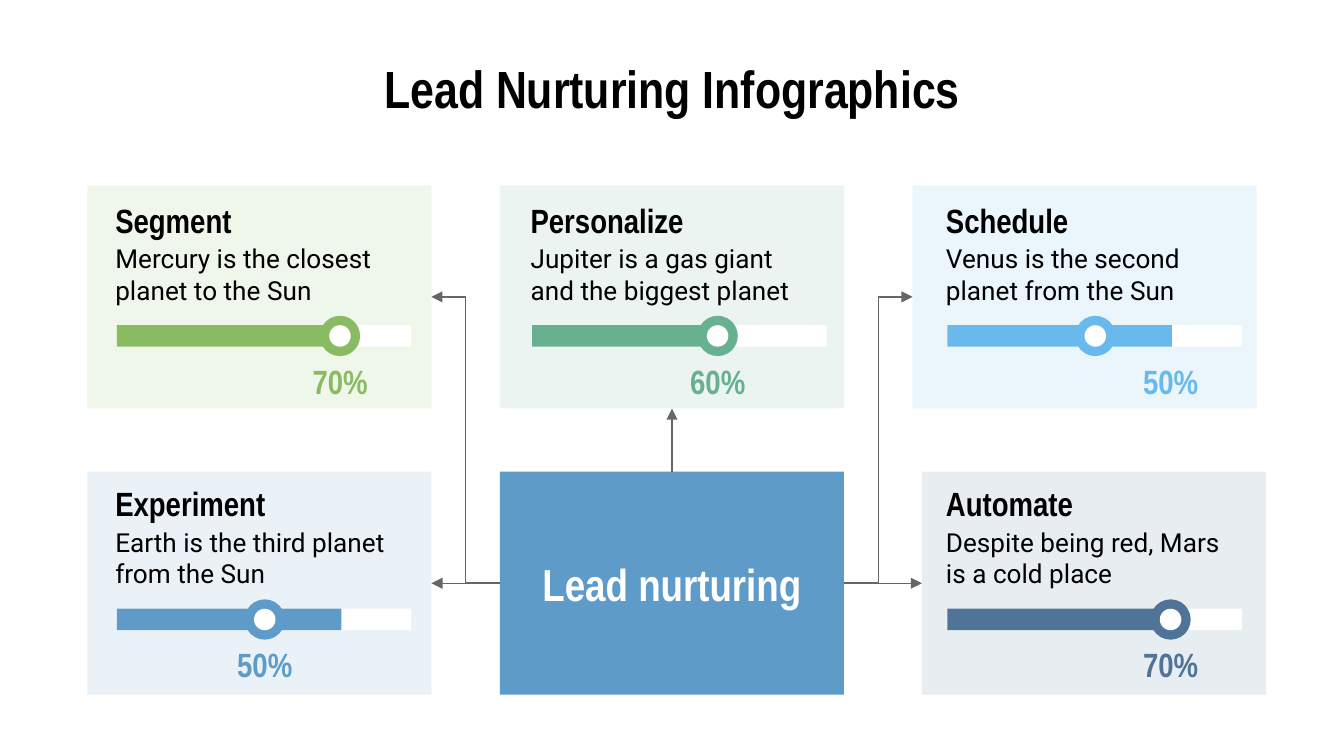
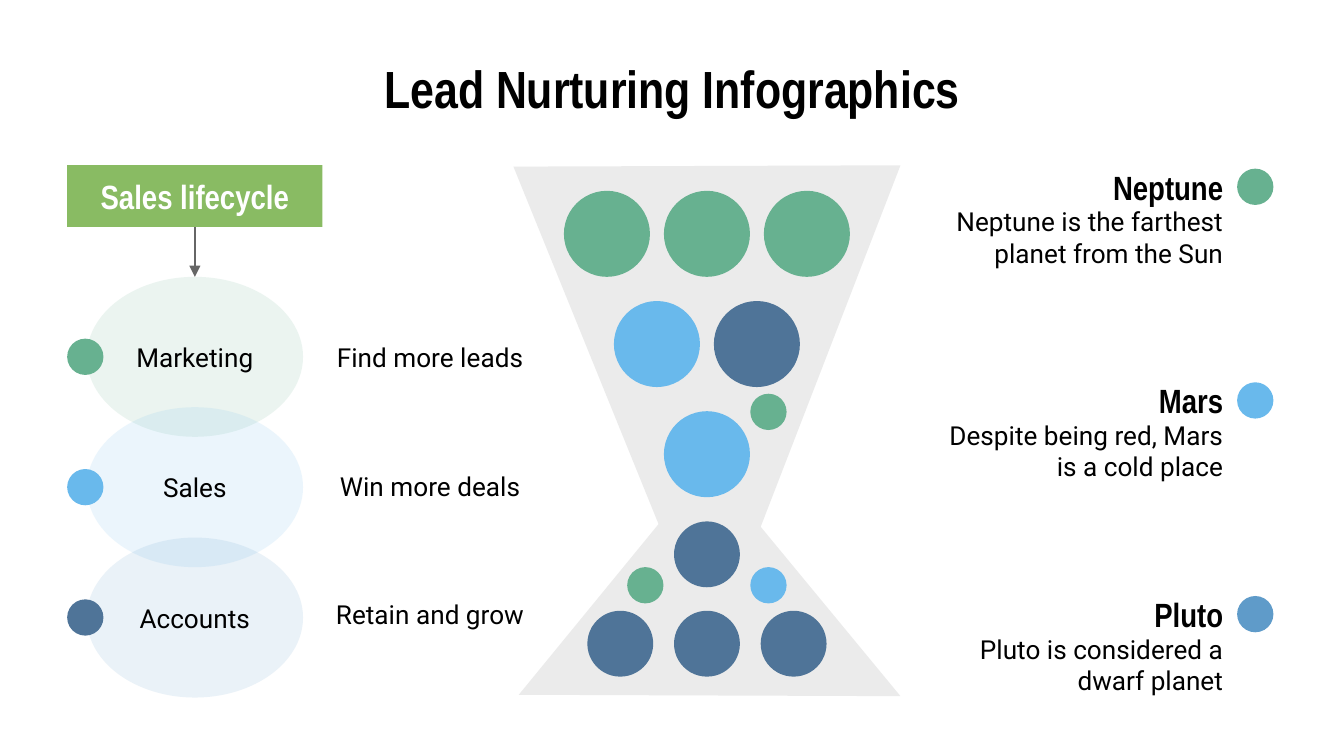
from lxml import etree
from pptx import Presentation, util as u
from pptx.dml.color import RGBColor
from pptx.enum import shapes, text
from pptx.oxml.ns import qn

GREEN, TEAL, SKY, BLUE, NAVY = "89BB63", "67B190", "69B9EC", "5F9BC9", "4F7498"
BLACK, WHITE, GREY = "000000", "FFFFFF", "666666"
TINT = 13
HEAD, BODY = "Arial Narrow", "Roboto"
LEFT, CENTER, RIGHT = text.PP_ALIGN.LEFT, text.PP_ALIGN.CENTER, text.PP_ALIGN.RIGHT
RECT, OVAL = shapes.MSO_SHAPE.RECTANGLE, shapes.MSO_SHAPE.OVAL
TOP_SIDE, LEFT_SIDE, BOTTOM_SIDE, RIGHT_SIDE = range(4)
COLUMNS = 100  # square grid cells, a tenth of an inch each


def rgb(value):
    return RGBColor.from_string(value)


class Deck:
    """Holds the shared style and the slide being drawn."""

    def __init__(self):
        self.prs = Presentation()
        self.prs.slide_width, self.prs.slide_height = u.Inches(10), u.Inches(5.625)
        self.cell = self.prs.slide_width / COLUMNS
        self.slide = None

    def grid(self, *lengths):
        return [u.Emu(round(length * self.cell)) for length in lengths]

    def new_slide(self, title):
        self.slide = self.prs.slides.add_slide(self.prs.slide_layouts[5])
        holder = self.slide.shapes.title
        holder.left, holder.top, holder.width, holder.height = self.grid(5, 4.5, COLUMNS - 10, 4.1)
        self.put_text(holder, title, 28, HEAD, BLACK, CENTER)

    def put_text(self, shape, words, size, font, color, align):
        frame = shape.text_frame
        frame.word_wrap = True
        frame.auto_size = text.MSO_AUTO_SIZE.NONE
        frame.vertical_anchor = text.MSO_ANCHOR.MIDDLE
        frame.margin_left = frame.margin_right = frame.margin_top = frame.margin_bottom = u.Inches(0.1)
        paragraph = frame.paragraphs[0]
        paragraph.alignment = align
        run = paragraph.add_run()
        run.text = words
        run.font.size, run.font.name, run.font.bold = u.Pt(size), font, font == HEAD
        run.font.color.rgb = rgb(color)

    def paint(self, shape, color, alpha=100):
        shape.shadow.inherit = False
        shape.line.fill.background()
        shape.fill.solid()
        shape.fill.fore_color.rgb = rgb(color)
        if alpha < 100:
            tone = shape.element.spPr.find(qn("a:solidFill"))[0]
            etree.SubElement(tone, qn("a:alpha"), val=str(alpha * 1000))
        return shape

    def shape(self, kind, x, y, w, h, color, alpha=100):
        return self.paint(self.slide.shapes.add_shape(kind, *self.grid(x, y, w, h)), color, alpha)

    def dot(self, cx, cy, size, color):
        return self.shape(OVAL, cx - size / 2, cy - size / 2, size, size, color)

    def outline(self, points, color, alpha):
        start, *rest = [self.grid(*point) for point in points]
        builder = self.slide.shapes.build_freeform(*start)
        builder.add_line_segments(rest, close=True)
        return self.paint(builder.convert_to_shape(), color, alpha)

    def label(self, x, y, w, h, words, align=LEFT):
        self.put_text(self.slide.shapes.add_textbox(*self.grid(x, y, w, h)), words, 14, BODY, BLACK, align)

    def heading(self, x, y, w, h, words, align=LEFT, color=BLACK):
        self.put_text(self.slide.shapes.add_textbox(*self.grid(x, y, w, h)), words, 18, HEAD, color, align)

    def arrow(self, source, source_side, target, target_side, kind=shapes.MSO_CONNECTOR.STRAIGHT):
        link = self.slide.shapes.add_connector(kind, 0, 0, 0, 0)
        link.begin_connect(source, source_side)
        link.end_connect(target, target_side)
        link.line.color.rgb, link.line.width = rgb(GREY), u.Pt(0.75)
        properties = link.element.spPr
        etree.SubElement(properties.find(qn("a:ln")), qn("a:tailEnd"), type="triangle")
        etree.SubElement(properties, qn("a:effectLst"))


def nurturing_cards(deck):
    deck.new_slide("Lead Nurturing Infographics")
    card_w, card_h, bar_w = 25.6, 16.6, 21.9

    # Cards: column, row, card left, name, description, colour, share,
    # then the reach of the bar, the knob and the share along the track
    cards = [
        (0, 0, 6.5, "Segment", "Mercury is the closest planet to the Sun", GREEN, "70%", 16.7, 16.6, 16.6),
        (1, 0, 37.2, "Personalize", "Jupiter is a gas giant and the biggest planet", TEAL, "60%", 13.7, 13.8, 13.8),
        (2, 0, 67.9, "Schedule", "Venus is the second planet from the Sun", SKY, "50%", 16.7, 11, 16.6),
        (0, 1, 6.5, "Experiment", "Earth is the third planet from the Sun", BLUE, "50%", 16.7, 11, 11),
        (2, 1, 68.6, "Automate", "Despite being red, Mars is a cold place", NAVY, "70%", 16.7, 16.6, 16.6),
    ]
    panels = {}
    for col, row, left, name, description, color, share, reach, knob, share_at in cards:
        panels[name] = deck.shape(RECT, left, 13.8 + 21.3 * row, card_w, card_h, color, TINT)
        x, y = 7.6 + 30.9 * col, 14.7 + 21.1 * row
        track = x + 1.1
        deck.shape(RECT, track, y + 9.5, bar_w, 1.6, WHITE)
        deck.shape(RECT, track, y + 9.5, reach, 1.6, color)
        deck.heading(x, y, 23, 3.3, name)
        deck.label(x, y + 3.4, 23, 4.6, description)
        deck.heading(track + share_at - 3.4, y + 12, 6.8, 3.3, share, CENTER, color)
        deck.dot(track + knob, y + 10.3, 3, color)
        deck.dot(track + knob, y + 10.3, 1.6, WHITE)

    # Hub and its arrows
    hub = deck.shape(RECT, 37.2, 35.1, card_w, card_h, BLUE)
    deck.put_text(hub, "Lead nurturing", 24, HEAD, WHITE, CENTER)
    elbow = shapes.MSO_CONNECTOR.ELBOW
    deck.arrow(hub, LEFT_SIDE, panels["Experiment"], RIGHT_SIDE)
    deck.arrow(hub, RIGHT_SIDE, panels["Automate"], LEFT_SIDE)
    deck.arrow(hub, LEFT_SIDE, panels["Segment"], RIGHT_SIDE, elbow)
    deck.arrow(hub, TOP_SIDE, panels["Personalize"], BOTTOM_SIDE)
    deck.arrow(hub, RIGHT_SIDE, panels["Schedule"], LEFT_SIDE, elbow)


def sales_hourglass(deck):
    deck.new_slide("Lead Nurturing Infographics")
    small = 2.7

    # Sales lifecycle
    lifecycle = deck.shape(RECT, 5, 12.3, 19, 4.6, GREEN)
    deck.put_text(lifecycle, "Sales lifecycle", 18, HEAD, WHITE, CENTER)
    stages = [
        ("Marketing", "Find more leads", TEAL, TEAL, 24.3),
        ("Sales", "Win more deals", SKY, SKY, 33.9),
        ("Accounts", "Retain and grow", BLUE, NAVY, 43.4),
    ]
    ovals = []
    for i, (stage, goal, tint, marker, goal_y) in enumerate(stages):
        y = 20.6 + 9.7 * i
        oval = deck.shape(OVAL, 6.45, y, 16.1, 11.9, tint, TINT)
        deck.put_text(oval, stage, 14, BODY, BLACK, CENTER)
        ovals.append(oval)
        deck.label(22.5, goal_y, 19, 4.6, goal, CENTER)
        deck.dot(6.35, y + 5.95, small, marker)
    deck.arrow(lifecycle, BOTTOM_SIDE, ovals[0], TOP_SIDE)

    # Hourglass with rows of balls centred on its axis
    deck.outline([(38.2, 12.4), (49, 39), (38.6, 51.7), (67, 51.8), (56.6, 39.2), (67, 12.3)], GREY, TINT)
    axis = 52.6
    ball_rows = [
        (17.4, 6.4, 7.44, [TEAL] * 3),
        (25.6, 6.4, 7.44, [SKY, NAVY]),
        (33.8, 6.4, 7.44, [SKY]),
        (41.25, 4.9, 6.45, [NAVY]),
        (47.9, 4.9, 6.45, [NAVY] * 3),
    ]
    for cy, size, pitch, colors in ball_rows:
        for i, color in enumerate(colors):
            deck.dot(axis + pitch * (i - (len(colors) - 1) / 2), cy, size, color)
    for side, cy, color in [(1, 30.65, TEAL), (-1, 43.55, TEAL), (1, 43.55, SKY)]:
        deck.dot(axis + 4.58 * side, cy, small, color)

    # Planets
    planets = [
        ("Neptune", "Neptune is the farthest planet from the Sun", TEAL),
        ("Mars", "Despite being red, Mars is a cold place", SKY),
        ("Pluto", "Pluto is considered a dwarf planet", BLUE),
    ]
    for i, (planet, fact, color) in enumerate(planets):
        y = 12.4 + 15.9 * i
        deck.heading(69.5, y, 22.5, 3, planet, RIGHT)
        deck.label(69.5, y + 3.05, 22.5, 4.4, fact, RIGHT)
        deck.dot(93.4, y + 1.5, small, color)


def main():
    deck = Deck()
    nurturing_cards(deck)
    sales_hourglass(deck)
    deck.prs.save("out.pptx")


if __name__ == "__main__":
    main()
